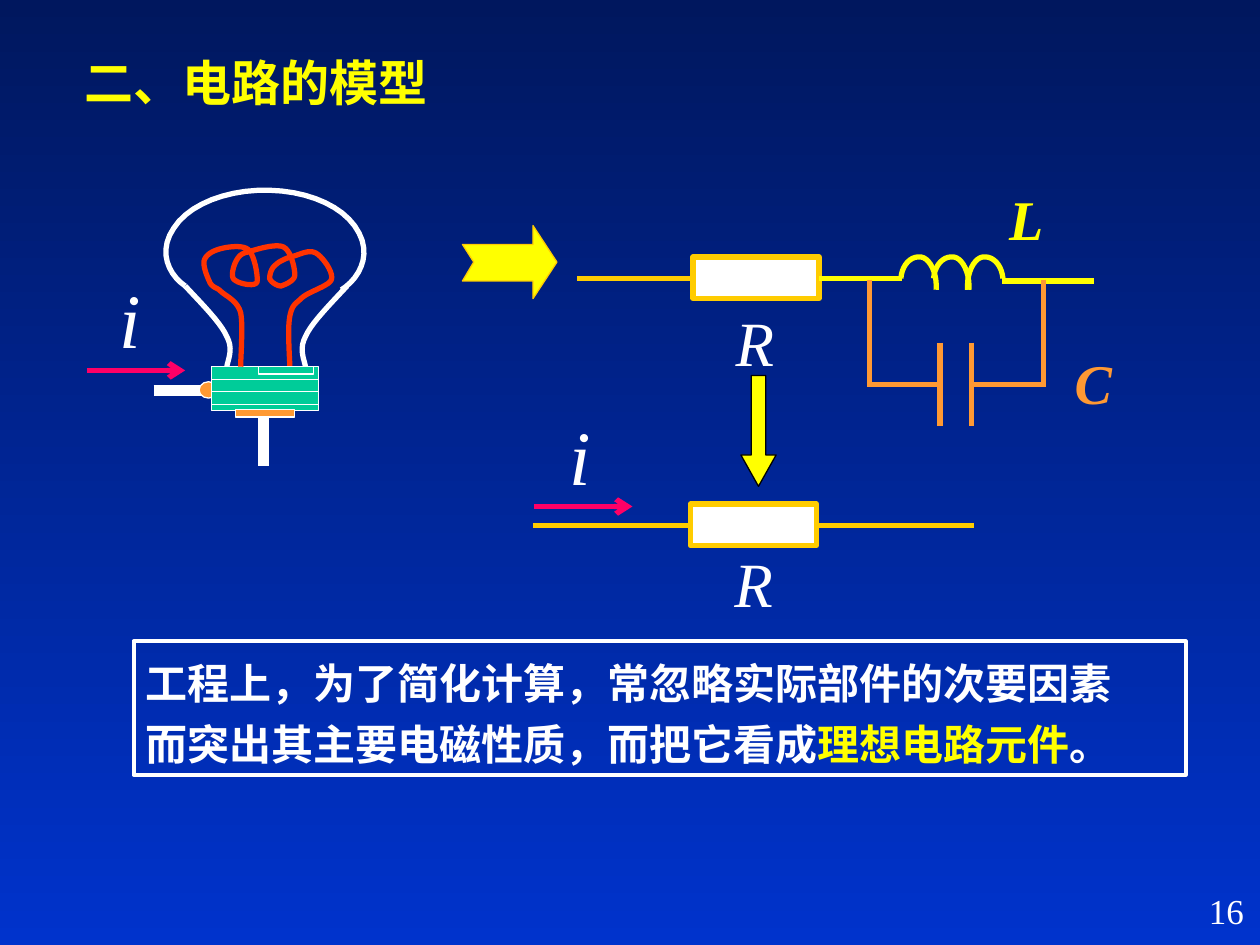
from lxml.etree import SubElement
from pptx import Presentation
from pptx.dml.color import RGBColor
from pptx.enum.shapes import MSO_CONNECTOR, MSO_SHAPE
from pptx.enum.text import MSO_ANCHOR, PP_ALIGN
from pptx.oxml.ns import qn
from pptx.util import Inches, Pt

NAVY = RGBColor(0x00, 0x17, 0x5E)
BLUE = RGBColor(0x00, 0x33, 0xCC)
WHITE = RGBColor(0xFF, 0xFF, 0xFF)
BLACK = RGBColor(0x00, 0x00, 0x00)
YELLOW = RGBColor(0xFF, 0xFF, 0x00)
GOLD = RGBColor(0xFF, 0xCC, 0x00)
ORANGE = RGBColor(0xFF, 0x99, 0x33)
RED = RGBColor(0xFF, 0x33, 0x00)
PINK = RGBColor(0xFF, 0x00, 0x66)
GREEN = RGBColor(0x00, 0xCC, 0x99)
FONT = "Times New Roman"

# The slide is a grid of 100 columns by 75 rows of square cells.
WIDTH, HEIGHT = Inches(10), Inches(7.5)
CELL = WIDTH / 100

# Cubic curves: a start point, then two control points and an end point per piece.
GLASS = [(14.7, 22.7), (13.4, 21.8), (12.5, 20), (13.8, 18.1),
         (15, 16.2), (18.1, 15), (21.4, 15.1),
         (24.7, 15.2), (27.5, 16.5), (28.5, 18.5),
         (29.5, 20.4), (28.4, 22.2), (27.1, 23)]
NECK = [(14.7, 22.7), (16.1, 24.2), (17.5, 25.6), (18, 26.7),
        (18.6, 27.8), (18, 28.7), (18, 29.2)]
FILAMENT = [(19.1, 29.1), (19.1, 28.4), (19.3, 25.8), (19.1, 24.8),
            (18.8, 23.8), (17.9, 23.5), (17.5, 23.1),
            (17.2, 22.8), (17, 22.9), (16.7, 22.5),
            (16.5, 22.1), (16.1, 21.2), (16.2, 20.7),
            (16.3, 20.3), (16.7, 20), (17.3, 19.8),
            (17.9, 19.6), (19.2, 19.4), (19.7, 19.8),
            (20.2, 20.2), (20.5, 22), (20.4, 22.4),
            (20.2, 22.8), (18.9, 22.5), (18.6, 22.2),
            (18.3, 22), (18.5, 21.2), (18.7, 20.8),
            (18.9, 20.4), (19.1, 20.1), (19.7, 20),
            (20.3, 19.8), (21.9, 19.3), (22.5, 19.6),
            (23.1, 19.9), (23.4, 21.3), (23.4, 21.8),
            (23.4, 22.3), (22.6, 22.6), (22.3, 22.7),
            (22, 22.7), (21.5, 22.4), (21.4, 22.1),
            (21.4, 21.8), (21.5, 21.3), (21.9, 21),
            (22.2, 20.7), (22.9, 20.4), (23.4, 20.3),
            (24, 20.1), (24.6, 19.8), (25.1, 20.1),
            (25.6, 20.4), (26.5, 21.6), (26.3, 22.2),
            (26.1, 22.7), (24.6, 23.1), (24, 23.6),
            (23.5, 24.1), (23.2, 24.1), (23, 25.1),
            (22.8, 26.1), (23, 28.5), (23, 29.1)]
LOOP = [(0, 22.1), (0.1, 21), (0.8, 20.3), (1.6, 20.4),
        (2.3, 20.5), (2.9, 21.7), (2.8, 23)]


def cells(*values):
    return [int(v * CELL) for v in values]


def paint(sp, fill, line, width=0.75):
    sp.shadow.inherit = False
    if fill is None:
        sp.fill.background()
    else:
        sp.fill.solid()
        sp.fill.fore_color.rgb = fill
    sp.line.color.rgb = line
    sp.line.width = Pt(width)
    return sp


def shape(s, kind, box, fill, line, width=0.75):
    return paint(s.shapes.add_shape(kind, *cells(*box)), fill, line, width)


def wire(s, start, end, color, width=3, arrow=False):
    sp = s.shapes.add_connector(MSO_CONNECTOR.STRAIGHT, *cells(*start, *end))
    sp.line.color.rgb = color
    sp.line.width = Pt(width)
    if arrow:
        SubElement(sp.line._get_or_add_ln(), qn("a:tailEnd"), type="arrow")
    SubElement(sp._element.spPr, qn("a:effectLst"))


def outline(s, points, fill, line, width=3, close=False):
    start, *rest = [cells(*point) for point in points]
    builder = s.shapes.build_freeform(*start)
    builder.add_line_segments(rest, close=close)
    paint(builder.convert_to_shape(), fill, line, width)


def curve(s, points, color, steps=10):
    """Draw a chain of cubic curves as a fine polyline."""
    track = [points[0]]
    for i in range(0, len(points) - 1, 3):
        for n in range(1, steps + 1):
            t = n / steps
            weights = ((1 - t) ** 3, 3 * t * (1 - t) ** 2, 3 * t * t * (1 - t), t ** 3)
            track.append(tuple(sum(w * p[axis] for w, p in zip(weights, points[i:i + 4]))
                               for axis in (0, 1)))
    outline(s, track, None, color)


def style(p, size, color, bold=False, italic=False):
    for r in p.runs:
        r.font.name = FONT
        r.font.size = Pt(size)
        r.font.color.rgb = color
        r.font.bold = bold
        r.font.italic = italic


def label(s, text, box, size, color=WHITE, bold=False, italic=True, align=PP_ALIGN.CENTER):
    tf = s.shapes.add_textbox(*cells(*box)).text_frame
    tf.word_wrap = False
    tf.vertical_anchor = MSO_ANCHOR.MIDDLE
    tf.text = text
    tf.paragraphs[0].alignment = align
    style(tf.paragraphs[0], size, color, bold, italic)


def resistor(s, left, top):
    shape(s, MSO_SHAPE.RECTANGLE, (left, top, 10, 3.3), WHITE, GOLD, 3)


def current(s, left, top, symbol_box):
    label(s, "i", symbol_box, 44)
    wire(s, (left, top), (left + 7.8, top), PINK, arrow=True)


def title(s, text):
    sp = s.shapes.title
    sp.left, sp.top, sp.width, sp.height = cells(5.7, 3.7, 48.6, 5.7)
    tf = sp.text_frame
    tf.vertical_anchor = MSO_ANCHOR.TOP
    tf.text = text
    tf.paragraphs[0].alignment = PP_ALIGN.LEFT
    style(tf.paragraphs[0], 28, YELLOW, bold=True)


def bulb(s):
    wire(s, (12.2, 31), (16.1, 31), WHITE, 6)
    shape(s, MSO_SHAPE.OVAL, (15.8, 30.3, 1.5, 1.3), ORANGE, WHITE)
    for points in (GLASS, NECK, [(42.25 - x, y) for x, y in NECK]):
        curve(s, points, WHITE)
    shape(s, MSO_SHAPE.RECTANGLE, (16.8, 29.1, 8.5, 3.5), GREEN, WHITE)
    for y in (30.1, 31.1, 32.1):
        wire(s, (16.8, y), (25.3, y), WHITE, 0.75)
    shape(s, MSO_SHAPE.RECTANGLE, (18.7, 32.5, 4.7, 0.6), ORANGE, WHITE)
    wire(s, (20.9, 33.2), (20.9, 37), WHITE, 6)
    curve(s, FILAMENT, RED)
    shape(s, MSO_SHAPE.RECTANGLE, (20.5, 29.1, 4.4, 0.6), GREEN, WHITE)
    current(s, 6.9, 29.4, (8.5, 21, 3.7, 8.4))


def full_model(s):
    outline(s, [(36.7, 19.4), (42.3, 19.4), (42.3, 17.9), (44.2, 20.8), (42.3, 23.7),
                (42.3, 22.3), (36.7, 22.3), (37.6, 20.8)], YELLOW, GOLD, 0.75, close=True)
    label(s, "R", (57.4, 23.6, 5, 7), 36)
    resistor(s, 55, 20.4)
    wire(s, (45.8, 22.1), (55, 22.1), GOLD)
    label(s, "L", (79.1, 14.1, 4.7, 6.4), 32, YELLOW, bold=True)
    wire(s, (65, 22.1), (71.6, 22.1), YELLOW)
    wire(s, (79.5, 22.3), (86.8, 22.3), YELLOW)
    for left, direction in ((71.5, 1), (74.1, 1), (79.6, -1)):
        curve(s, [(left + direction * x, y) for x, y in LOOP], YELLOW)
    for outer, corner, plate in ((68.8, 69, 74.6), (83, 82.8, 77.1)):
        wire(s, (outer, 30.5), (plate, 30.5), ORANGE)
        wire(s, (corner, 22.2), (corner, 30.5), ORANGE)
        wire(s, (plate, 27.2), (plate, 33.8), ORANGE)
    label(s, "C", (84.3, 27.1, 4.9, 6.4), 32, ORANGE, bold=True)


def simple_model(s):
    arrow = shape(s, MSO_SHAPE.DOWN_ARROW, (58.8, 29.8, 2.8, 8.8), YELLOW, BLACK)
    arrow.adjustments[0], arrow.adjustments[1] = 0.41, 0.89
    resistor(s, 54.8, 40)
    for left in (42.3, 64.8):
        wire(s, (left, 41.7), (left + 12.5, 41.7), GOLD)
    label(s, "R", (57.3, 42.7, 5, 7), 36)
    current(s, 42.4, 40.2, (44.2, 31.9, 3.7, 8.4))


def conclusion(s):
    sp = shape(s, MSO_SHAPE.RECTANGLE, (10.6, 50.9, 83.5, 10.6), None, WHITE, 2.25)
    tf = sp.text_frame
    tf.word_wrap = True
    tf.vertical_anchor = MSO_ANCHOR.MIDDLE
    tf.text = "工程上，为了简化计算，常忽略实际部件的次要因素"
    p = tf.add_paragraph()
    for text in ("而突出其主要电磁性质，而把它看成", "理想电路元件", "。"):
        p.add_run().text = text
    for paragraph in tf.paragraphs:
        paragraph.alignment = PP_ALIGN.LEFT
        paragraph.line_spacing = 1.2
        style(paragraph, 24, WHITE, bold=True)
    p.runs[1].font.color.rgb = YELLOW


def main():
    prs = Presentation()
    prs.slide_width, prs.slide_height = WIDTH, HEIGHT
    s = prs.slides.add_slide(prs.slide_layouts[5])
    fill = s.background.fill
    fill.gradient()
    fill.gradient_angle = 270
    for stop, color in zip(fill.gradient_stops, (NAVY, BLUE)):
        stop.color.rgb = color

    title(s, "二、电路的模型")
    bulb(s)
    simple_model(s)
    full_model(s)
    conclusion(s)
    label(s, "16", (78.9, 70, 20.8, 4.5), 20, italic=False, align=PP_ALIGN.RIGHT)
    prs.save("out.pptx")


if __name__ == "__main__":
    main()
